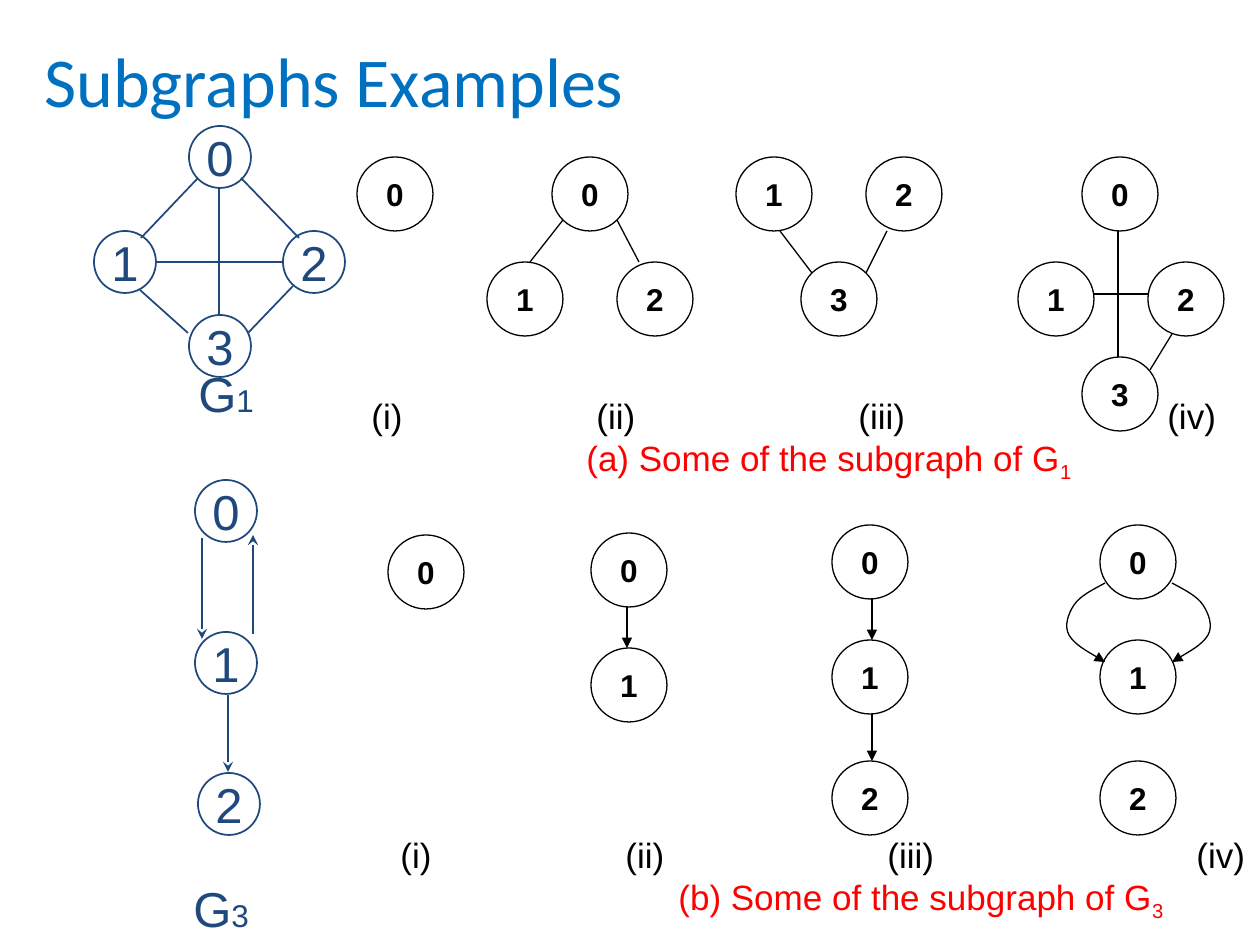
from lxml import etree
from pptx import Presentation
from pptx import util as u
from pptx.dml.color import RGBColor
from pptx.enum import shapes, text
from pptx.oxml.ns import qn

PX = 914400 / 126
BLACK, NAVY, RED, BLUE = "000000", "1F497D", "FF0000", "0070C0"

SMALL = {"size": (76, 74), "pt": 18, "bold": True, "color": BLACK, "weight": 0.75, "arrow": "triangle"}
LARGE = {"size": (62, 62), "pt": 28, "bold": False, "color": NAVY, "weight": 1, "arrow": "stealth"}

G1_SUBGRAPHS = {
    "nodes": [("0", 357, 157),
              ("0", 552, 157), ("1", 487, 262), ("2", 617, 262),
              ("3", 801, 262), ("1", 736, 157), ("2", 866, 157),
              ("0", 1082, 157), ("1", 1018, 262), ("2", 1148, 262), ("3", 1082, 357)],
    "edges": [(563, 220, 530, 262), (617, 220, 639, 262),
              (812, 273, 780, 231), (866, 273, 887, 231),
              (1094, 294, 1148, 294), (1118, 231, 1118, 357), (1172, 334, 1150, 370)],
    "arrows": [],
}
G3_SUBGRAPHS = {
    "nodes": [("0", 388, 535),
              ("0", 591, 533), ("1", 591, 648),
              ("0", 832, 525), ("1", 832, 640), ("2", 832, 761),
              ("0", 1100, 525), ("1", 1100, 640), ("2", 1100, 761)],
    "edges": [],
    "arrows": [(627, 606, 627, 648), (872, 599, 872, 640), (872, 714, 872, 761)],
}
G1 = {
    "nodes": [("0", 189, 126), ("1", 94, 231), ("2", 283, 231), ("3", 189, 315)],
    "edges": [(219, 188, 219, 314), (156, 262, 282, 262), (198, 178, 141, 238),
              (241, 178, 299, 238), (140, 290, 188, 333), (293, 286, 248, 333)],
    "arrows": [],
}
G3 = {
    "nodes": [("0", 195, 480), ("1", 195, 632), ("2", 198, 773)],
    "edges": [],
    "arrows": [(228, 695, 228, 772), (253, 634, 253, 535), (202, 538, 202, 639)],
}
CURVE = [(1105, 583), (1092, 590), (1080, 596), (1074, 605), (1068, 614),
         (1064, 626), (1069, 635), (1075, 645), (1099, 658), (1105, 662)]
CURVE_AXIS = 1138.5

LABELS = "(i)\t(ii)\t(iii)\t(iv)"
LABEL_TABS = (225, 487, 796)
CAPTIONS = [(359, 388, 215, "(a) Some of the subgraph of G", "1"),
            (388, 827, 278, "(b) Some of the subgraph of G", "3")]
GRAPH_NAMES = [(186, 357, "1"), (181, 872, "3")]


def px(n):
    return u.Emu(round(n * PX))


def rgb(color):
    return RGBColor.from_string(color)


def add_run(p, content, pt, color, font="Arial", bold=False):
    r = p.add_run()
    r.text = content
    r.font.size, r.font.name, r.font.bold = u.Pt(pt), font, bold
    r.font.color.rgb = rgb(color)
    return r


def add_text(s, x, y, w, h, wrap=False):
    tf = s.shapes.add_textbox(px(x), px(y), px(w), px(h)).text_frame
    tf.word_wrap = wrap
    return tf


def set_line(sp, style, arrow=False):
    sp.line.color.rgb = rgb(style["color"])
    sp.line.width = u.Pt(style["weight"])
    if arrow:
        ln = sp.line._get_or_add_ln()
        etree.SubElement(ln, qn("a:tailEnd"), type=style["arrow"])


def add_node(s, label, x, y, style):
    w, h = style["size"]
    sp = s.shapes.add_shape(shapes.MSO_SHAPE.OVAL, px(x), px(y), px(w), px(h))
    sp.shadow.inherit = False
    if style is LARGE:
        sp.fill.solid()
        sp.fill.fore_color.rgb = rgb("FFFFFF")
    else:
        sp.fill.background()
    set_line(sp, style)
    tf = sp.text_frame
    tf.word_wrap = False
    tf.vertical_anchor = text.MSO_ANCHOR.MIDDLE
    p = tf.paragraphs[0]
    p.alignment = text.PP_ALIGN.CENTER
    add_run(p, label, style["pt"], style["color"], bold=style["bold"])


def add_edge(s, ends, style, arrow):
    sp = s.shapes.add_connector(shapes.MSO_CONNECTOR.STRAIGHT, *map(px, ends))
    set_line(sp, style, arrow)
    etree.SubElement(sp._element.spPr, qn("a:effectLst"))


def add_graph(s, graph, style):
    for node in graph["nodes"]:
        add_node(s, *node, style)
    for kind in ("edges", "arrows"):
        for ends in graph[kind]:
            add_edge(s, ends, style, kind == "arrows")


def add_curve(s, points, style):
    builder = s.shapes.build_freeform(*points[0], scale=PX)
    builder.add_line_segments(points[1:], close=False)
    sp = builder.convert_to_shape()
    sp.shadow.inherit = False
    sp.fill.background()
    set_line(sp, style, True)
    outline = sp._element.find(".//" + qn("a:path"))
    segments = outline.findall(qn("a:lnTo"))
    for i in range(0, len(segments), 3):
        bezier = etree.SubElement(outline, qn("a:cubicBezTo"))
        for segment in segments[i:i + 3]:
            bezier.append(segment[0])
            outline.remove(segment)


def add_caption(s, x, y, indent, caption, index):
    tf = add_text(s, x, y, 881, 103, wrap=True)
    tf.margin_right = 0
    p = tf.paragraphs[0]
    add_run(p, LABELS, 20, BLACK)
    tabs = etree.SubElement(p._p.get_or_add_pPr(), qn("a:tabLst"))
    for stop in LABEL_TABS:
        etree.SubElement(tabs, qn("a:tab"), pos=str(px(stop)), algn="l")
    p = tf.add_paragraph()
    p._p.get_or_add_pPr().set("marL", str(px(indent)))
    add_run(p, caption, 20, RED)
    r = add_run(p, index, 20, RED)
    r.font._element.set("baseline", "-25000")


def main():
    prs = Presentation()
    prs.slide_width, prs.slide_height = px(1260), px(945)
    s = prs.slides.add_slide(prs.slide_layouts[6])

    add_graph(s, G1_SUBGRAPHS, SMALL)
    add_graph(s, G3_SUBGRAPHS, SMALL)
    add_curve(s, CURVE, SMALL)
    add_curve(s, [(2 * CURVE_AXIS - x, y) for x, y in CURVE], SMALL)
    for caption in CAPTIONS:
        add_caption(s, *caption)

    add_graph(s, G1, LARGE)
    add_graph(s, G3, LARGE)
    for x, y, index in GRAPH_NAMES:
        p = add_text(s, x, y, 81, 72).paragraphs[0]
        add_run(p, "G", 28, NAVY)
        add_run(p, index, 18, NAVY)

    tf = add_text(s, 32, 0, 683, 158, wrap=True)
    tf.vertical_anchor = text.MSO_ANCHOR.MIDDLE
    add_run(tf.paragraphs[0], "Subgraphs Examples", 40, BLUE, "Calibri")

    prs.save("out.pptx")


if __name__ == "__main__":
    main()
